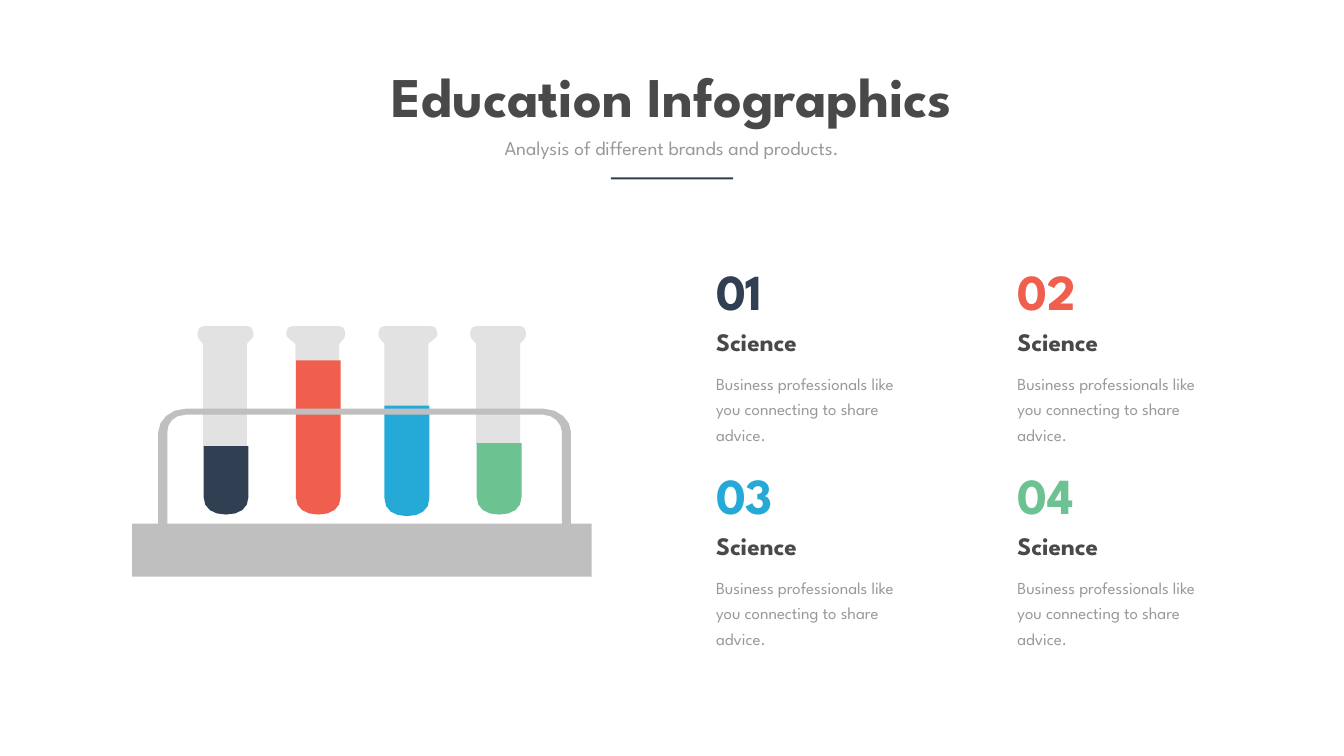
import pptx
import pptx.util
import pptx.dml.color
import pptx.enum.shapes
import pptx.enum.text

Inches = pptx.util.Inches
Pt = pptx.util.Pt
RGBColor = pptx.dml.color.RGBColor
PP_ALIGN = pptx.enum.text.PP_ALIGN

FONT = "League Spartan"
DARK = RGBColor(0x49, 0x49, 0x49)
GREY = RGBColor(0x99, 0x99, 0x99)
GLASS = RGBColor(0xE2, 0xE2, 0xE2)
STAND = RGBColor(0xBF, 0xBF, 0xBF)
NAVY = RGBColor(0x30, 0x40, 0x52)
RED = RGBColor(0xF0, 0x5E, 0x4E)
BLUE = RGBColor(0x25, 0xAA, 0xD8)
GREEN = RGBColor(0x6D, 0xC2, 0x92)

TITLE = {"size": Pt(80), "bold": True}
SUBTITLE = {"size": Pt(28), "bold": False}
NUMBER = {"size": Pt(72), "bold": True}
HEADING = {"size": Pt(36), "bold": True}
BODY = {"size": Pt(24), "bold": False}

CURVE_STEPS = 4
RIM_TOP = 6.47
NECK_TOP = 6.82
NECK_WIDTH = 0.87
LIQUID_WIDTH = 0.89

TUBES = [
    (3.92, 4.03, 5.03, 4.04, 8.85, 10.21, NAVY),
    (5.68, 5.86, 6.85, 5.87, 7.15, 10.21, RED),
    (7.51, 7.63, 8.68, 7.63, 8.05, 10.24, BLUE),
    (9.33, 9.45, 10.44, 9.46, 8.79, 10.21, GREEN),
]
BLURB = "Business professionals like you connecting to share advice."
ITEMS = [
    ("01", "Science", BLURB, NAVY),
    ("02", "Science", BLURB, RED),
    ("03", "Science", BLURB, BLUE),
    ("04", "Science", BLURB, GREEN),
]


def write(tf, text, style, color, align=PP_ALIGN.LEFT, spacing=None):
    tf.word_wrap = True
    tf.auto_size = pptx.enum.text.MSO_AUTO_SIZE.NONE
    tf.vertical_anchor = pptx.enum.text.MSO_ANCHOR.TOP
    p = tf.paragraphs[0]
    layout = {"alignment": align, "space_before": Pt(0), "line_spacing": spacing}
    for name, value in layout.items():
        setattr(p, name, value)
    r = p.add_run()
    r.text = text
    for name, value in {"name": FONT, **style}.items():
        setattr(r.font, name, value)
    r.font.color.rgb = color


def fill_placeholder(sp, box, text, style, color):
    for name, value in zip(("left", "top", "width", "height"), box):
        setattr(sp, name, Inches(value))
    write(sp.text_frame, text, style, color, PP_ALIGN.CENTER)


def add_text(s, box, text, style, color, spacing=None):
    sp = s.shapes.add_textbox(*map(Inches, box))
    write(sp.text_frame, text, style, color, spacing=spacing)


def paint(sp, color):
    sp.shadow.inherit = False
    sp.fill.solid()
    sp.fill.fore_color.rgb = color
    sp.line.fill.background()


def bezier(start, curve):
    x0, y0 = start
    x1, y1, x2, y2, x3, y3 = curve
    points = []
    for step in range(1, CURVE_STEPS + 1):
        t = step / CURVE_STEPS
        a, b, c, d = (1 - t) ** 3, 3 * t * (1 - t) ** 2, 3 * t * t * (1 - t), t ** 3
        points.append((a * x0 + b * x1 + c * x2 + d * x3,
                       a * y0 + b * y1 + c * y2 + d * y3))
    return points


def flatten(outline):
    points = [outline[0]]
    for part in outline[1:]:
        points += [part] if len(part) == 2 else bezier(points[-1], part)
    return [(Inches(x), Inches(y)) for x, y in points]


def add_outline(s, color, *outlines):
    builder = None
    for outline in outlines:
        points = flatten(outline)
        if builder is None:
            builder = s.shapes.build_freeform(*points[0])
        else:
            builder.move_to(*points[0])
        builder.add_line_segments(points[1:], close=True)
    paint(builder.convert_to_shape(), color)


def add_tube(s, rim_left, neck_left, rim_right, left, surface, bottom, color):
    neck_right = neck_left + NECK_WIDTH
    add_outline(s, GLASS, [
        (neck_right, NECK_TOP),
        (neck_right + 0.06, 6.76, rim_right, 6.7, rim_right, 6.64),
        (rim_right, 6.52, rim_right - 0.05, RIM_TOP, rim_right - 0.14, RIM_TOP),
        (rim_left + 0.14, RIM_TOP),
        (rim_left + 0.05, RIM_TOP, rim_left, 6.52, rim_left, 6.64),
        (rim_left, 6.7, neck_left - 0.06, 6.76, neck_left, NECK_TOP),
        (neck_left, surface + 0.02),
        (neck_right, surface + 0.02),
    ])
    right = left + LIQUID_WIDTH
    middle = left + LIQUID_WIDTH / 2
    shoulder = bottom - 0.35
    add_outline(s, color, [
        (left, surface),
        (right, surface),
        (right, shoulder),
        (right, bottom - 0.12, right - 0.18, bottom, middle, bottom),
        (left + 0.18, bottom, left, bottom - 0.12, left, shoulder),
    ])


def add_stand(s):
    outer = [
        (2.62, 11.44), (2.62, 10.39), (3.14, 10.39), (3.14, 8.57),
        (3.14, 8.34, 3.38, 8.11, 3.68, 8.11), (10.79, 8.11),
        (11.09, 8.11, 11.33, 8.34, 11.33, 8.57),
        (11.33, 10.39), (11.74, 10.39), (11.74, 11.44),
    ]
    opening = [
        (3.32, 10.39), (3.32, 8.57),
        (3.32, 8.4, 3.44, 8.23, 3.68, 8.23), (10.79, 8.23),
        (10.98, 8.23, 11.15, 8.4, 11.15, 8.57), (11.15, 10.39),
    ]
    add_outline(s, STAND, outer, opening)


def add_item(s, left, top, number, heading, body, color):
    add_text(s, (left, top, 2.51, 1.31), number, NUMBER, color)
    add_text(s, (left, top + 1.31, 3.99, 0.71), heading, HEADING, DARK)
    add_text(s, (left, top + 2.14, 3.99, 1.63), body, BODY, GREY, Pt(36.6))


def main():
    prs = pptx.Presentation()
    prs.slide_width = Inches(26.67)
    prs.slide_height = Inches(15)
    s = prs.slides.add_slide(prs.slide_layouts[0])
    title, subtitle = s.placeholders
    fill_placeholder(title, (6.97, 1.17, 12.73, 1.45),
                     "Education Infographics", TITLE, DARK)
    fill_placeholder(subtitle, (8.55, 2.65, 9.56, 0.57),
                     "Analysis of different brands and products.", SUBTITLE, GREY)
    rule = s.shapes.add_shape(pptx.enum.shapes.MSO_SHAPE.RECTANGLE,
                              *map(Inches, (12.12, 3.52, 2.43, 0.04)))
    paint(rule, NAVY)
    for tube in TUBES:
        add_tube(s, *tube)
    add_stand(s)
    for i, item in enumerate(ITEMS):
        row, column = divmod(i, 2)
        add_item(s, 14.11 + 5.98 * column, 5.11 + 4.05 * row, *item)
    prs.save("out.pptx")


if __name__ == "__main__":
    main()
